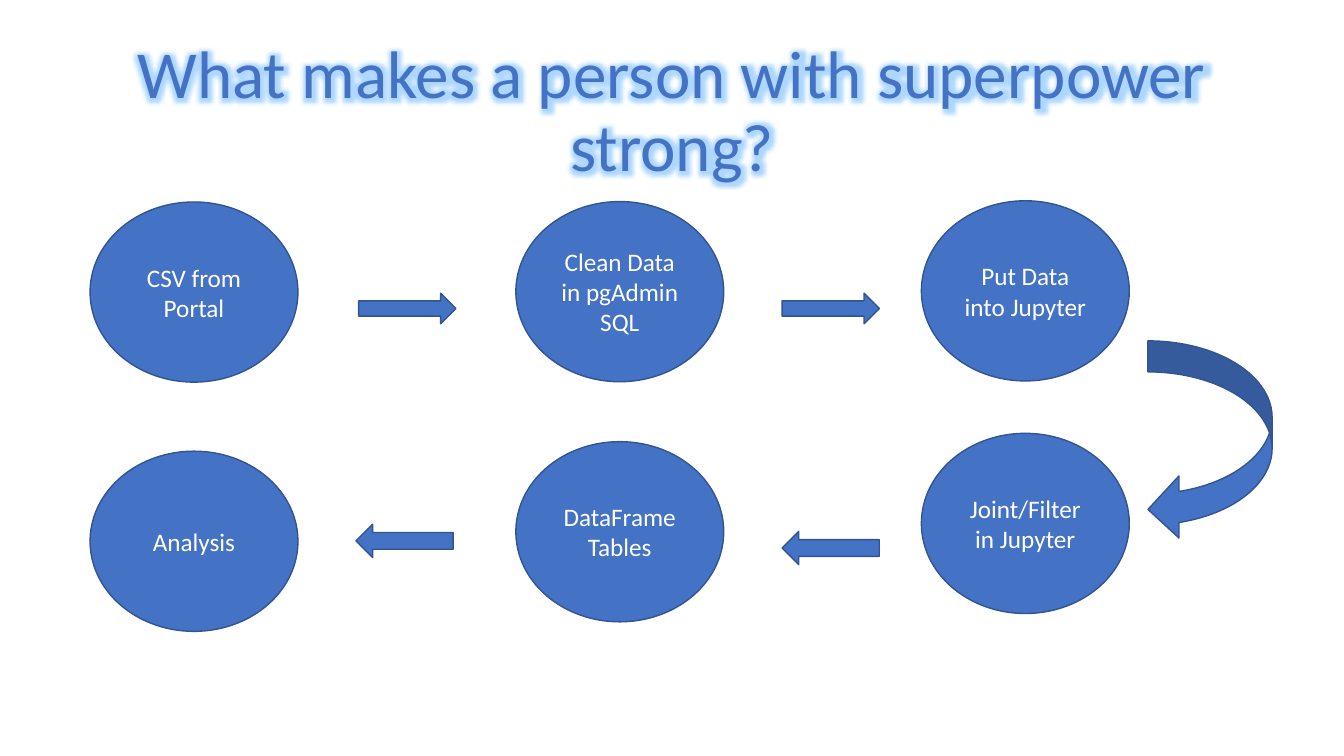
"""Build a slide that shows a six-step data workflow as a looping flow."""
from dataclasses import dataclass

from lxml import etree
from pptx import Presentation
from pptx import util as u
from pptx.dml.color import RGBColor
from pptx.enum import shapes, text
from pptx.oxml import ns


@dataclass(frozen=True)
class Theme:
    font: str = "Calibri"
    blue: str = "4472C4"
    outline: str = "325491"
    white: str = "FFFFFF"
    glow: str = "5BAFFF"
    title_size: int = 48
    label_size: int = 18


theme = Theme()


def add_run(paragraph, words, size, color):
    paragraph.alignment = text.PP_ALIGN.CENTER
    run = paragraph.add_run()
    run.text = words
    run.font.name = theme.font
    run.font.size = u.Pt(size)
    run.font.color.rgb = RGBColor.from_string(color)
    return run


def add_blue_shape(kind, left, top, width, height):
    shape = slide.shapes.add_shape(kind, u.Cm(left), u.Cm(top), u.Cm(width), u.Cm(height))
    shape.shadow.inherit = False
    shape.fill.solid()
    shape.fill.fore_color.rgb = RGBColor.from_string(theme.blue)
    shape.line.color.rgb = RGBColor.from_string(theme.outline)
    shape.line.width = u.Pt(1)
    return shape


presentation = Presentation()
presentation.slide_width = u.Cm(33.87)
presentation.slide_height = u.Cm(19.05)
slide = presentation.slides.add_slide(presentation.slide_layouts[5])

title = slide.shapes.title
title.left, title.top, title.width, title.height = u.Cm(2.33), u.Cm(1.01), u.Cm(29.21), u.Cm(3.68)
title.text_frame.word_wrap = True
title.text_frame.auto_size = text.MSO_AUTO_SIZE.NONE
title.text_frame.vertical_anchor = text.MSO_ANCHOR.MIDDLE
heading = title.text_frame.paragraphs[0]
heading.line_spacing = 0.9
heading_run = add_run(heading, "What makes a person with superpower strong?", theme.title_size, theme.blue)

effects = etree.Element(ns.qn("a:effectLst"))
glow = etree.SubElement(effects, ns.qn("a:glow"), rad=str(u.Pt(11)))
glow_color = etree.SubElement(glow, ns.qn("a:srgbClr"), val=theme.glow)
etree.SubElement(glow_color, ns.qn("a:alpha"), val="50000")
heading_run.font.fill
heading_run._r.get_or_add_rPr().find(ns.qn("a:solidFill")).addnext(effects)

left_column, middle_column, right_column = 2.27, 13, 23.22
steps = [
    ("CSV from Portal", left_column, 5.09),
    ("Clean Data in pgAdmin SQL", middle_column, 5.08),
    ("Put Data into Jupyter", right_column, 5.06),
    ("Joint/Filter in Jupyter", right_column, 10.92),
    ("DataFrame Tables", middle_column, 11.13),
    ("Analysis", left_column, 11.37),
]
for label, left, top in steps:
    step = add_blue_shape(shapes.MSO_SHAPE.OVAL, left, top, 5.24, 4.54)
    step.text_frame.word_wrap = True
    step.text_frame.vertical_anchor = text.MSO_ANCHOR.MIDDLE
    add_run(step.text_frame.paragraphs[0], label, theme.label_size, theme.white)

arrows = [
    (shapes.MSO_SHAPE.RIGHT_ARROW, 9.04, 7.39, 2.45, 0.77),
    (shapes.MSO_SHAPE.RIGHT_ARROW, 19.71, 7.39, 2.45, 0.77),
    (shapes.MSO_SHAPE.CURVED_LEFT_ARROW, 28.93, 8.59, 3.13, 5.03),
    (shapes.MSO_SHAPE.LEFT_ARROW, 19.71, 13.39, 2.45, 0.84),
    (shapes.MSO_SHAPE.LEFT_ARROW, 8.97, 13.21, 2.45, 0.84),
]
for arrow in arrows:
    add_blue_shape(*arrow)

presentation.save("out.pptx")
